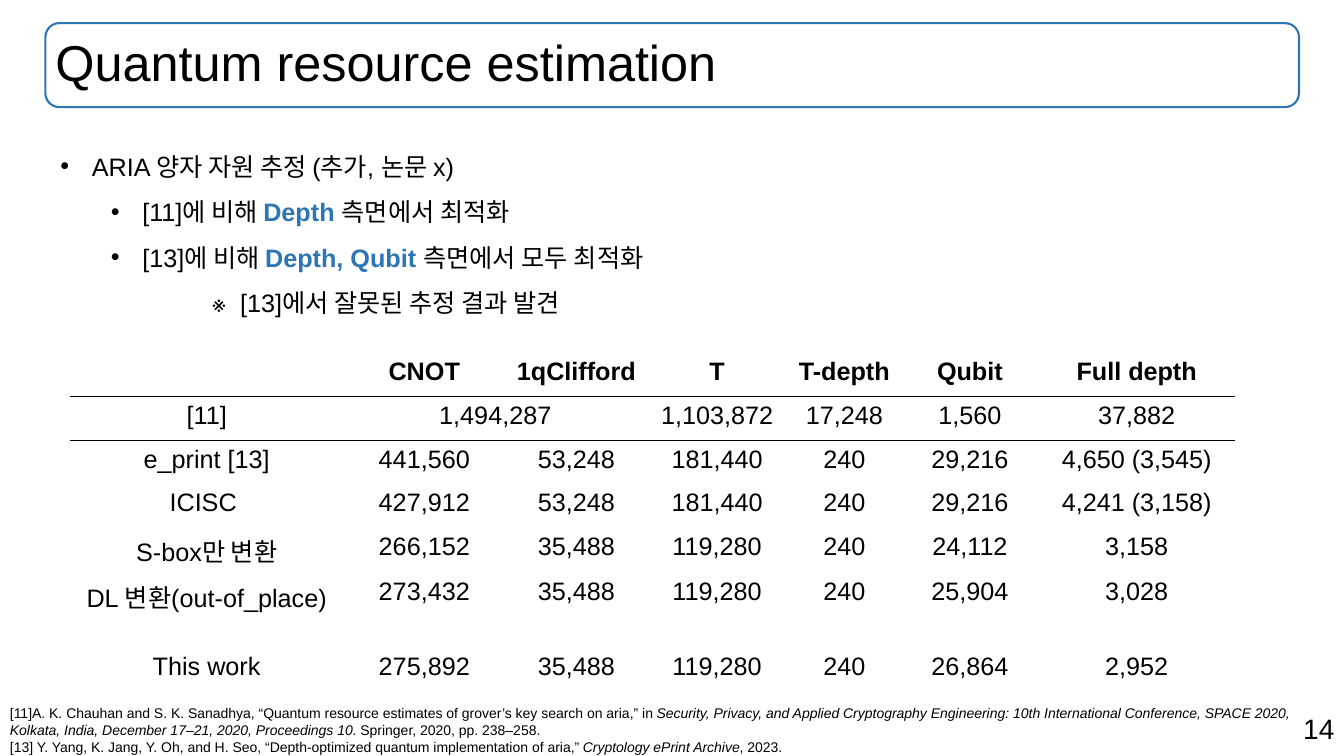
"""Builds the slide on quantum resource estimation for ARIA."""
import pptx
import pptx.dml.color
import pptx.enum.shapes
import pptx.enum.text
import pptx.oxml
import pptx.oxml.ns
import pptx.util

THEME = {
    "font": "Arial", "ink": "000000", "accent": "2E75B6",
    "title": 36, "number": 20, "body": 18, "reference": 10,
}
NS = pptx.oxml.ns.nsdecls("a")
ALIGN = pptx.enum.text.PP_ALIGN
ANCHOR = pptx.enum.text.MSO_ANCHOR

prs = pptx.Presentation()
prs.slide_width = pptx.util.Inches(13.33)
prs.slide_height = pptx.util.Inches(7.5)
s = prs.slides.add_slide(prs.slide_layouts[6])
UNIT = prs.slide_height / 90


def grid(*cells):
    """Turn counts of grid cells into lengths, with 90 cells to the slide's height."""
    return [round(n * UNIT) for n in cells]


def add_run(p, text, size, color="ink", bold=False, italic=False):
    """Add one run to a paragraph in the theme's font."""
    r = p.add_run()
    r.text = text
    r.font.name = THEME["font"]
    r.font.size = pptx.util.Pt(THEME[size])
    r.font.color.rgb = pptx.dml.color.RGBColor.from_string(THEME[color])
    r.font.bold = bold
    r.font.italic = italic


sp = s.shapes.add_textbox(*grid(113.2, 84.1, 46.8, 5.3))
p = sp.text_frame.paragraphs[0]
p.alignment = ALIGN.RIGHT
add_run(p, "14", "number")

sp = s.shapes.add_shape(pptx.enum.shapes.MSO_SHAPE.ROUNDED_RECTANGLE, *grid(5.4, 2.75, 149.2, 10))
sp.shadow.inherit = False
sp.fill.background()
sp.line.color.rgb = pptx.dml.color.RGBColor.from_string(THEME["accent"])
sp.line.width = pptx.util.Pt(1.5)
tf = sp.text_frame
tf.word_wrap = True
tf.vertical_anchor = ANCHOR.MIDDLE
tf.margin_left = grid(0.7)[0]
p = tf.paragraphs[0]
p.alignment = ALIGN.LEFT
p.line_spacing = 0.9
add_run(p, "Quantum resource estimation", "title")

points = [
    (3.75, -3.75, "•", [("ARIA 양자 자원 추정 (추가, 논문 x)", "ink")]),
    (9.75, -3.75, "•", [("[11]에 비해 ", "ink"), ("Depth ", "accent"), ("측면에서 최적화", "ink")]),
    (9.75, -3.75, "•", [("[13]에 비해 ", "ink"), ("Depth, Qubit ", "accent"),
                        ("측면에서 모두 최적화", "ink")]),
    (21.4, -3.4, None, [("※\t[13]에서 잘못된 추정 결과 발견", "ink")]),
]
sp = s.shapes.add_textbox(*grid(6, 15.6, 148.4, 27.8))
tf = sp.text_frame
tf.word_wrap = True
for i, (margin, indent, bullet, runs) in enumerate(points):
    p = tf.paragraphs[0] if i == 0 else tf.add_paragraph()
    p.line_spacing = 1.5
    pPr = p._p.get_or_add_pPr()
    for name, length in zip(("marL", "indent"), grid(margin, indent)):
        pPr.set(name, str(length))
    if bullet:
        pPr.append(pptx.oxml.parse_xml(f'<a:buFont {NS} typeface="{THEME["font"]}"/>'))
        pPr.append(pptx.oxml.parse_xml(f'<a:buChar {NS} char="{bullet}"/>'))
    for text, color in runs:
        add_run(p, text, "body", color, bold=color == "accent")

resources = [
    ["", "CNOT", "1qClifford", "T", "T-depth", "Qubit", "Full depth"],
    ["[11]", "1,494,287", "", "1,103,872", "17,248", "1,560", "37,882"],
    ["e_print [13]", "441,560", "53,248", "181,440", "240", "29,216", "4,650 (3,545)"],
    ["ICISC ", "427,912", "53,248", "181,440", "240", "29,216", "4,241 (3,158)"],
    ["S-box만 변환", "266,152", "35,488", "119,280", "240", "24,112", "3,158"],
    ["DL 변환(out-of_place)", "273,432", "35,488", "119,280", "240", "25,904", "3,028"],
    ["This work", "275,892", "35,488", "119,280", "240", "26,864", "2,952"],
]
col_widths = grid(32.5, 19.3, 16.9, 16.6, 13.7, 16.2, 23.5)
row_heights = grid(5.2, 5.2, 5.2, 5.2, 5.4, 8.9, 5.2)
header_rule = {0: "lnB", 1: "lnT"}
frame = s.shapes.add_table(len(row_heights), len(col_widths), *grid(8.35, 42),
                           sum(col_widths), sum(row_heights))
table = frame.table
table.first_row = table.horz_banding = False
style = table._tbl.tblPr.find(pptx.oxml.ns.qn("a:tableStyleId"))
style.text = "{2D5ABB26-0587-4C30-8999-92F81FD0307C}"
for column, width in zip(table.columns, col_widths):
    column.width = width
for row, height in zip(table.rows, row_heights):
    row.height = height
table.cell(1, 1).merge(table.cell(1, 2))
for i, texts in enumerate(resources):
    for j, text in enumerate(texts):
        cell = table.cell(i, j)
        cell.fill.background()
        if i in header_rule:
            side = header_rule[i]
            cell._tc.get_or_add_tcPr().insert(0, pptx.oxml.parse_xml(
                f'<a:{side} {NS} w="{pptx.util.Pt(1)}"><a:solidFill>'
                f'<a:srgbClr val="{THEME["ink"]}"/></a:solidFill></a:{side}>'))
        p = cell.text_frame.paragraphs[0]
        p.alignment = ALIGN.CENTER
        if text:
            add_run(p, text, "body", bold=i == 0)

references = [
    [("[11]A. K. Chauhan and S. K. Sanadhya, “Quantum resource estimates of grover’s key search "
      "on aria,” in ", False),
     ("Security, Privacy, and Applied Cryptography Engineering: 10th International Conference, "
      "SPACE 2020, Kolkata, India, December 17–21, 2020, Proceedings 10", True),
     (". Springer, 2020, pp. 238–258.", False)],
    [("[13] Y. Yang, K. Jang, Y. Oh, and H. Seo, “Depth-optimized quantum implementation of "
      "aria,” ", False),
     ("Cryptology ePrint Archive", True), (", 2023.", False)],
]
sp = s.shapes.add_textbox(*grid(0, 83.3, 158, 7.3))
tf = sp.text_frame
tf.word_wrap = True
for i, runs in enumerate(references):
    p = tf.paragraphs[0] if i == 0 else tf.add_paragraph()
    for text, italic in runs:
        add_run(p, text, "reference", italic=italic)

prs.save("out.pptx")
